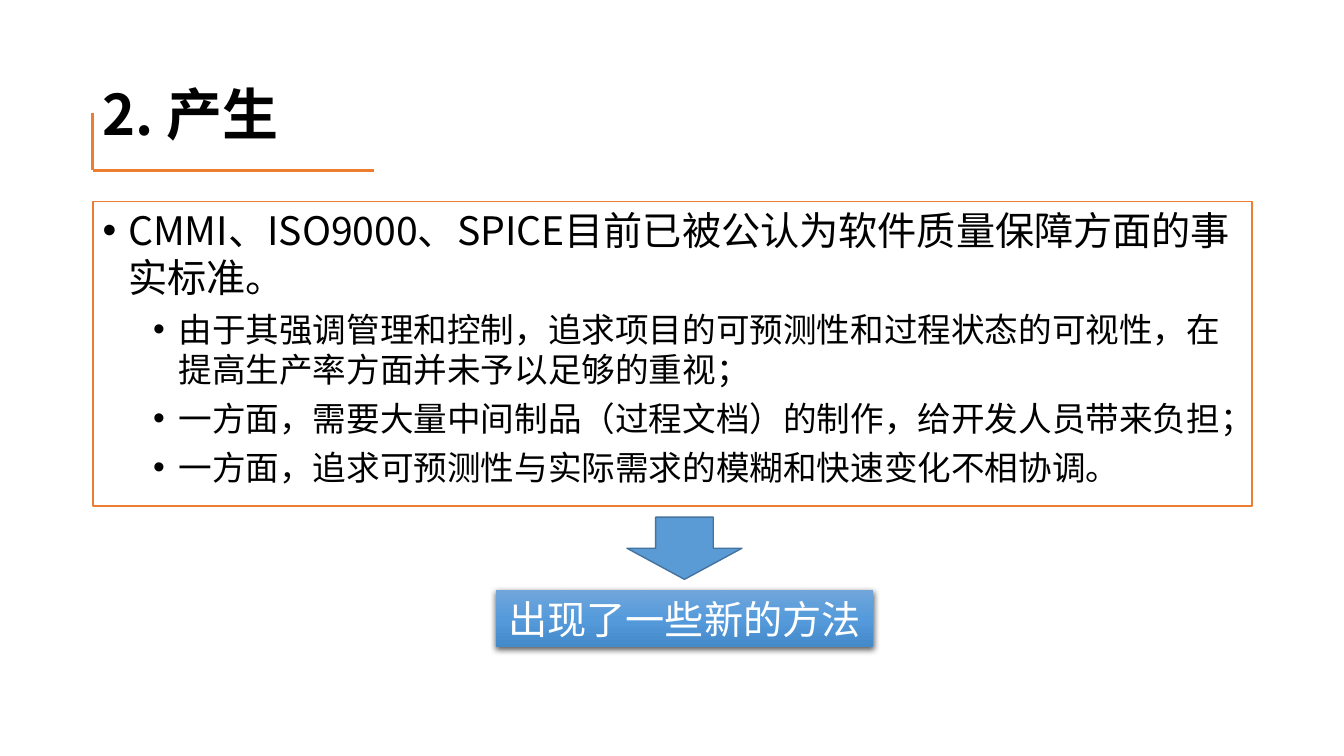
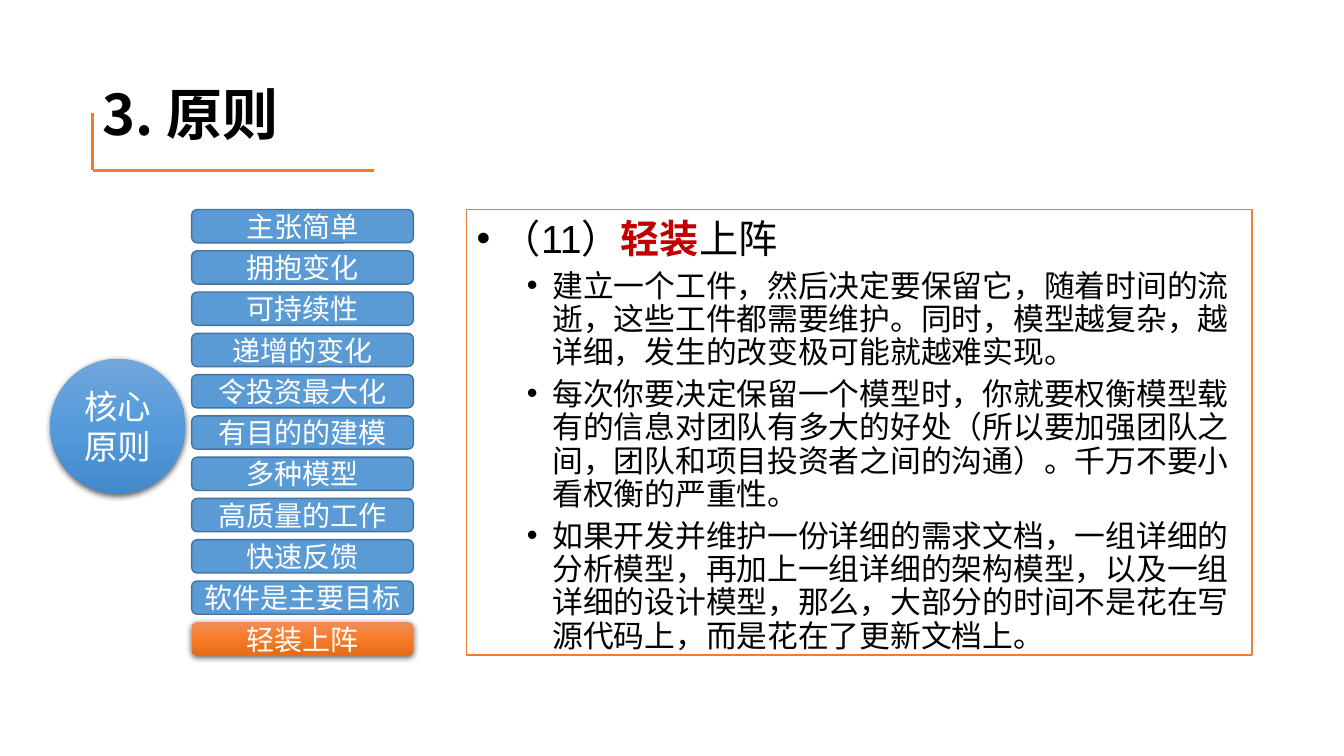
import copy

import pptx
import pptx.dml.color
import pptx.enum.shapes
import pptx.enum.text
import pptx.oxml.ns
import pptx.util
from lxml import etree

Cm, Pt = pptx.util.Cm, pptx.util.Pt
RGBColor = pptx.dml.color.RGBColor
MSO_SHAPE = pptx.enum.shapes.MSO_SHAPE
MSO_ANCHOR = pptx.enum.text.MSO_ANCHOR
PP_ALIGN = pptx.enum.text.PP_ALIGN
qn = pptx.oxml.ns.qn

BLACK = RGBColor(0x00, 0x00, 0x00)
WHITE = RGBColor(0xFF, 0xFF, 0xFF)
ORANGE = RGBColor(0xED, 0x7D, 0x31)
BLUE = RGBColor(0x5B, 0x9B, 0xD5)
DARK_BLUE = RGBColor(0x43, 0x73, 0x9E)
RED = RGBColor(0xC0, 0x00, 0x00)
BLUE_GRADIENT = (RGBColor(0x71, 0xA6, 0xDB), RGBColor(0x55, 0x9B, 0xDB),
                 RGBColor(0x44, 0x8A, 0xCA))
ORANGE_GRADIENT = (RGBColor(0xF1, 0x8C, 0x57), RGBColor(0xF6, 0x7B, 0x28),
                   RGBColor(0xE5, 0x6C, 0x19))

CJK_FONT = "Noto Sans CJK SC"
LATIN_FONT = "Arial"
LINE_PITCH = 1.2
TIGHT_PITCH = 1.08
LEFT, WIDTH = 2.34, 29.21

PRINCIPLES = ("主张简单", "拥抱变化", "可持续性", "递增的变化", "令投资最大化",
              "有目的的建模", "多种模型", "高质量的工作", "快速反馈",
              "软件是主要目标", "轻装上阵")
PROBLEMS = (
    "由于其强调管理和控制，追求项目的可预测性和过程状态的可视性，在提高生产率方面并未予以足够的重视；",
    "一方面，需要大量中间制品（过程文档）的制作，给开发人员带来负担；",
    "一方面，追求可预测性与实际需求的模糊和快速变化不相协调。",
)
TRAVEL_LIGHT = (
    "建立一个工件，然后决定要保留它，随着时间的流逝，这些工件都需要维护。同时，模型越复杂，越详细，发生的改变极可能就越难实现。",
    "每次你要决定保留一个模型时，你就要权衡模型载有的信息对团队有多大的好处（所以要加强团队之间，团队和项目投资者之间的沟通）。千万不要小看权衡的严重性。",
    "如果开发并维护一份详细的需求文档，一组详细的分析模型，再加上一组详细的架构模型，以及一组详细的设计模型，那么，大部分的时间不是花在写源代码上，而是花在了更新文档上。",
)


def style_paragraph(para, size, color, name=CJK_FONT, bold=False, pitch=LINE_PITCH):
    para.line_spacing = Pt(round(size * pitch, 1))
    font = para.font
    font.name, font.size, font.bold = name, Pt(size), bold
    font.color.rgb = color
    defaults = para._p.pPr.find(qn("a:defRPr"))
    etree.SubElement(defaults, qn("a:ea"), typeface=CJK_FONT)


def add_bullet(para, level):
    para.level = level
    properties = para._p.get_or_add_pPr()
    properties.set("marL", str(Cm(0.64 + 1.27 * level)))
    properties.set("indent", str(-Cm(0.64)))
    etree.SubElement(properties, qn("a:buFont"), typeface=LATIN_FONT)
    etree.SubElement(properties, qn("a:buChar"), char="•")


def add_block(page, kind, left, top, width, height, fill, line=None):
    """Add a shape; fill is one colour or a group of gradient colours."""
    block = page.shapes.add_shape(kind, Cm(left), Cm(top), Cm(width), Cm(height))
    block.shadow.inherit = False
    if isinstance(fill, RGBColor):
        block.fill.solid()
        block.fill.fore_color.rgb = fill
    else:
        set_gradient(block, fill)
        add_shadow(block)
    if line is None:
        block.line.fill.background()
    else:
        block.line.color.rgb = line
        block.line.width = Pt(1)
    return block


def set_gradient(block, colors):
    """Fill from top to bottom with three evenly spaced colours."""
    block.fill.gradient()
    block.fill.gradient_angle = 270
    stop_list = block._element.spPr.find(qn("a:gradFill")).find(qn("a:gsLst"))
    stop_list.append(copy.deepcopy(stop_list[0]))
    for index, (stop, color) in enumerate(zip(block.fill.gradient_stops, colors)):
        stop.position = index / 2
        stop.color.rgb = color


def add_shadow(block):
    effects = block._element.spPr.find(qn("a:effectLst"))
    shadow = etree.SubElement(effects, qn("a:outerShdw"), blurRad=str(Pt(4.5)),
                              dist=str(Pt(1.5)), dir="5400000",
                              algn="ctr", rotWithShape="0")
    color = etree.SubElement(shadow, qn("a:srgbClr"), val=str(BLACK))
    etree.SubElement(color, qn("a:alpha"), val="63000")


def set_label(block, text, size, wrap=True):
    frame = block.text_frame
    frame.word_wrap = wrap
    frame.vertical_anchor = MSO_ANCHOR.MIDDLE
    frame.margin_top = frame.margin_bottom = 0
    para = frame.paragraphs[0]
    para.text = text
    para.alignment = PP_ALIGN.CENTER
    style_paragraph(para, size, WHITE)


def add_rule(page, left, top, right, bottom):
    rule = page.shapes.add_connector(pptx.enum.shapes.MSO_CONNECTOR.STRAIGHT,
                                     Cm(left), Cm(top), Cm(right), Cm(bottom))
    rule.line.color.rgb = ORANGE
    rule.line.width = Pt(2.25)
    etree.SubElement(rule._element.spPr, qn("a:effectLst"))


def add_titled_page(deck, title):
    page = deck.slides.add_slide(deck.slide_layouts[6])
    box = page.shapes.add_textbox(Cm(LEFT), Cm(1.02), Cm(WIDTH), Cm(3.68))
    frame = box.text_frame
    frame.word_wrap = True
    frame.vertical_anchor = MSO_ANCHOR.MIDDLE
    para = frame.paragraphs[0]
    para.text = title
    style_paragraph(para, 40, BLACK, bold=True)
    corner = 4.29
    add_rule(page, LEFT, corner, 9.42, corner)
    add_rule(page, LEFT, corner, LEFT, 2.84)
    return page


def add_body(page, left, top, width, height, heading, points, size,
             name=CJK_FONT, pitch=LINE_PITCH):
    """Framed bullets; heading is a list of (text, emphasised) spans."""
    body = add_block(page, MSO_SHAPE.RECTANGLE, left, top, width, height, WHITE, ORANGE)
    frame = body.text_frame
    frame.word_wrap = True
    frame.vertical_anchor = MSO_ANCHOR.TOP
    para = frame.paragraphs[0]
    para.alignment = PP_ALIGN.LEFT
    add_bullet(para, 0)
    for text, emphasised in heading:
        span = para.add_run()
        span.text = text
        if emphasised:
            span.font.bold = True
            span.font.color.rgb = RED
    style_paragraph(para, 28, BLACK, name)
    for point in points:
        para = frame.add_paragraph()
        para.text = point
        para.alignment = PP_ALIGN.LEFT
        para.space_before = Pt(6)
        add_bullet(para, 1)
        style_paragraph(para, size, BLACK, name, pitch=pitch)


def add_principles(page):
    """Column of principles, the last one highlighted, beside a round label."""
    circle = add_block(page, MSO_SHAPE.OVAL, 1.27, 9.04, 3.4, 3.4, BLUE_GRADIENT)
    set_label(circle, "核心原则", 24)
    for index, principle in enumerate(PRINCIPLES):
        current = index == len(PRINCIPLES) - 1
        pill = add_block(page, MSO_SHAPE.ROUNDED_RECTANGLE,
                         4.83, 5.28 + 1.04 * index, 5.59, 0.84,
                         ORANGE_GRADIENT if current else BLUE,
                         None if current else DARK_BLUE)
        set_label(pill, principle, 20)


def build_origin(deck):
    page = add_titled_page(deck, "2. 产生")
    heading = [("CMMI、ISO9000、SPICE目前已被公认为软件质量保障方面的事实标准。", False)]
    add_body(page, LEFT, 5.08, WIDTH, 7.67, heading, PROBLEMS, 24)
    add_block(page, MSO_SHAPE.DOWN_ARROW, 15.8, 13.03, 2.9, 1.57, BLUE, DARK_BLUE)
    outcome = add_block(page, MSO_SHAPE.RECTANGLE, 12.5, 14.86, 9.5, 1.45, BLUE_GRADIENT)
    set_label(outcome, "出现了一些新的方法", 28, wrap=False)


def build_principles(deck):
    page = add_titled_page(deck, "3. 原则")
    add_principles(page)
    heading = [("（11）", False), ("轻装", True), ("上阵", False)]
    add_body(page, 11.76, 5.28, 19.79, 11.23, heading, TRAVEL_LIGHT, 22,
             LATIN_FONT, TIGHT_PITCH)


def main():
    deck = pptx.Presentation()
    deck.slide_width, deck.slide_height = Cm(33.87), Cm(19.05)
    build_origin(deck)
    build_principles(deck)
    deck.save("out.pptx")


if __name__ == "__main__":
    main()
